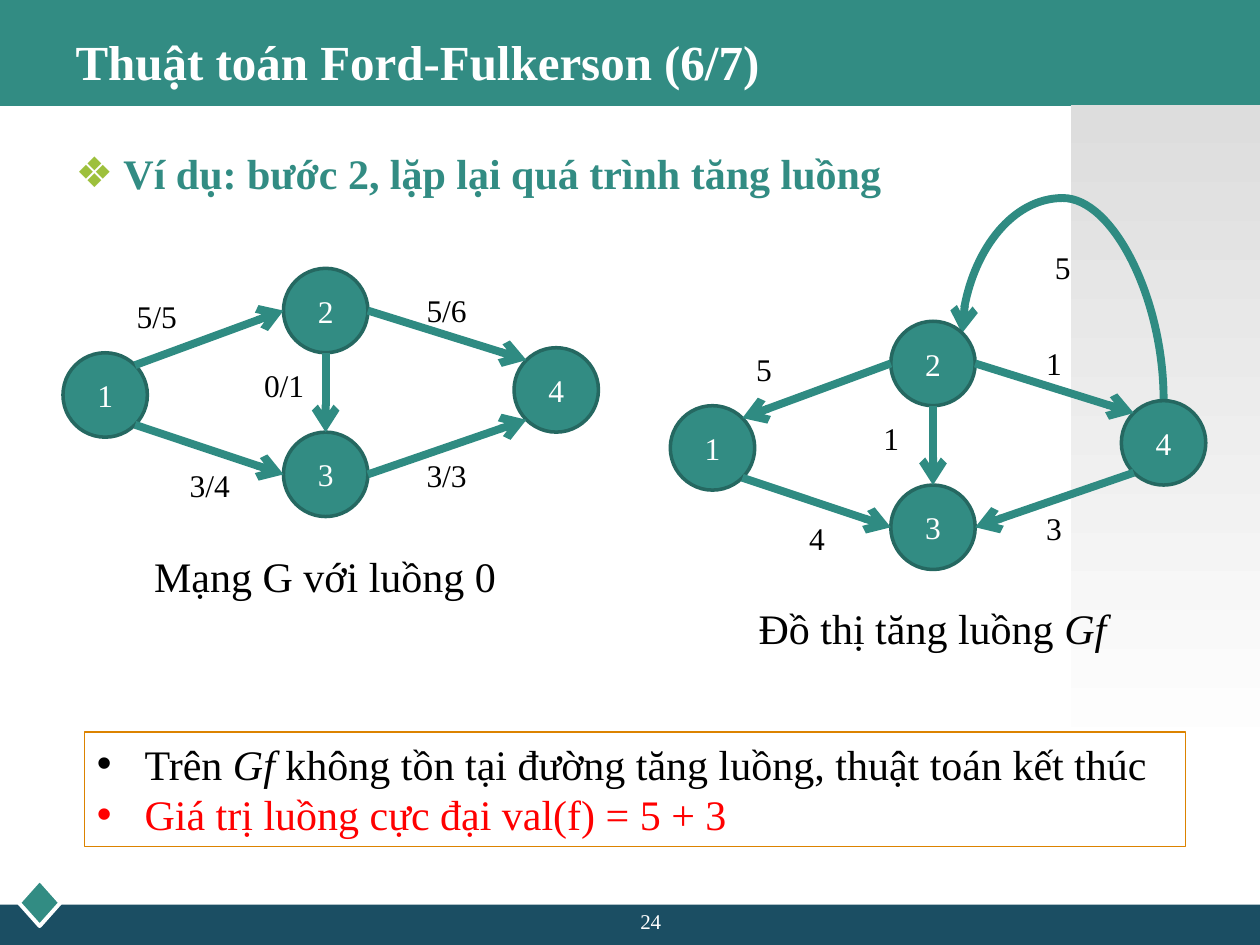
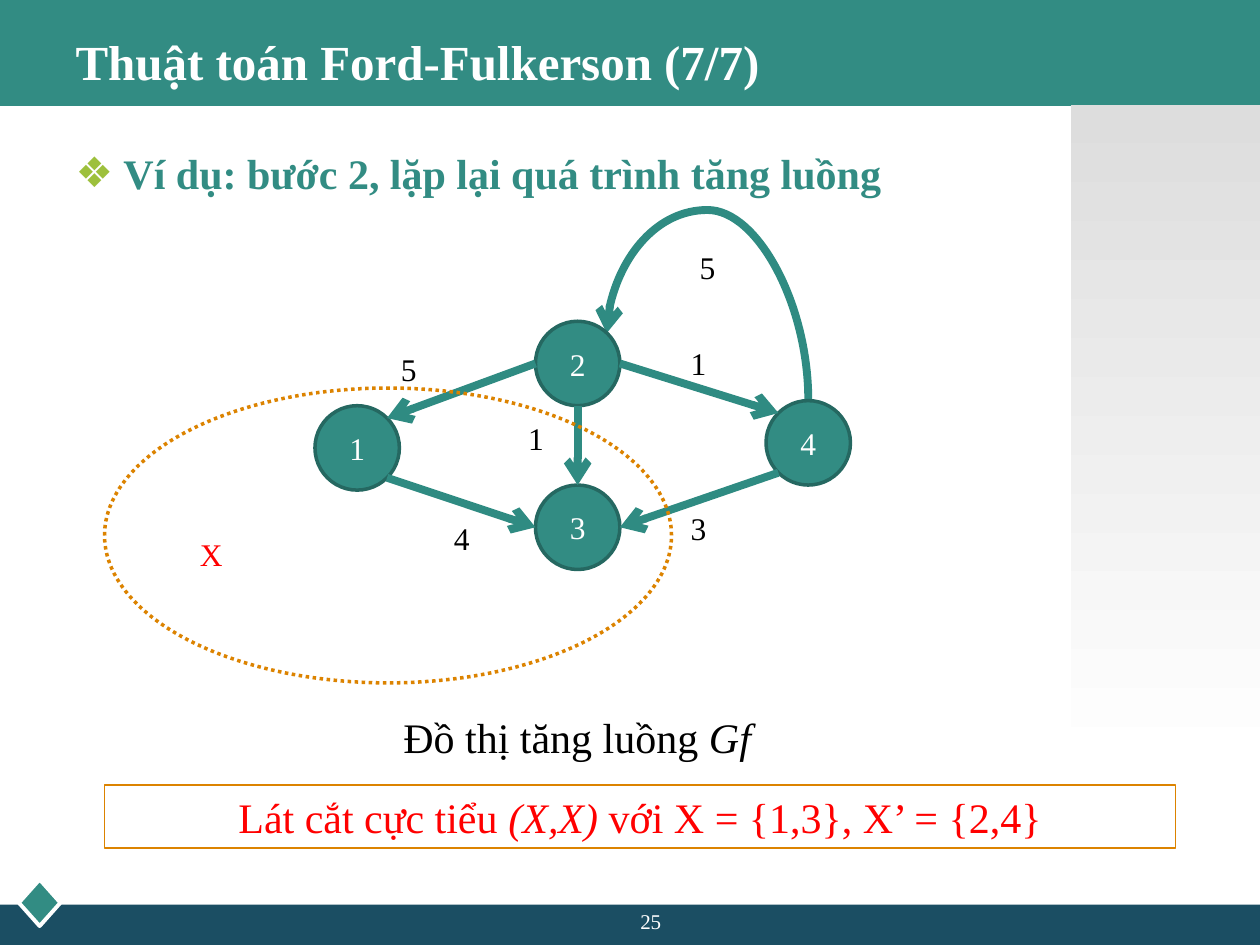
"""Build two slides that end the Ford-Fulkerson flow example."""
from dataclasses import dataclass
from math import cos, radians, sin
from typing import NamedTuple, Optional

from lxml.etree import SubElement as Sub
from pptx import Presentation
from pptx.dml.color import RGBColor as RGB
from pptx.enum.dml import MSO_LINE as Dash
from pptx.enum.shapes import MSO_CONNECTOR as Link, MSO_SHAPE as Form
from pptx.enum.text import MSO_ANCHOR as Anchor, PP_ALIGN as Align
from pptx.oxml.ns import qn
from pptx.util import Inches, Pt

TEAL = RGB(0x32, 0x8C, 0x83)
RIM = RGB(0x25, 0x68, 0x61)
ARROW = RGB(0x2F, 0x8B, 0x82)
NAVY = RGB(0x1B, 0x4E, 0x63)
GOLD = RGB(0xDC, 0x83, 0x00)
LIME = RGB(0x9D, 0xC0, 0x3C)
GRAY = RGB(0xDD, 0xDD, 0xDD)
WHITE = RGB(0xFF, 0xFF, 0xFF)
BLACK = RGB(0, 0, 0)
RED = RGB(0xFF, 0, 0)
FONT = "Times New Roman"
SIZE = 0.67


class Box(NamedTuple):
    x: float
    y: float
    w: float
    h: float


class Run(NamedTuple):
    text: str
    size: float = 24
    color: RGB = BLACK
    bold: bool = False
    slant: bool = False


class Spot(NamedTuple):
    x: float
    y: float


class Edge(NamedTuple):
    tail: str
    out: int
    head: str
    into: int
    tag: Spot


@dataclass(frozen=True)
class Graph:
    x: float
    y: float
    tags: tuple[str, ...]
    title: tuple[Run, ...]
    drop: float
    turned: tuple[int, ...] = ()
    bend: Optional[int] = None


NODES = {
    "1": Spot(0, 0.67),
    "2": Spot(1.75, 0),
    "3": Spot(1.75, 1.3),
    "4": Spot(3.58, 0.63),
}
EDGES = (
    Edge("1", -45, "2", 180, Spot(0.33, 0.18)),
    Edge("2", 0, "4", 225, Spot(2.63, 0.13)),
    Edge("1", 45, "3", 180, Spot(0.75, 1.52)),
    Edge("2", 90, "3", 270, Spot(1.34, 0.73)),
    Edge("3", 0, "4", 135, Spot(2.63, 1.44)),
)
LOOP = Box(2.85, -0.44, 0.53, 1.6)
LOOP_TAG = Spot(2.7, -0.63)
REST_TAGS = ("5", "1", "4", "1", "3")
REST_NAME = (Run("Đồ thị tăng luồng "), Run("Gf", slant=True))

FLOW = Graph(0.5, 2.13, ("5/5", "5/6", "3/4", "0/1", "3/3"),
             (Run("Mạng G với luồng 0"),), 2.19)
REST = Graph(5.32, 2.55, REST_TAGS, REST_NAME, 2.18, (0, 4), 302400)
CUT = Graph(2.5, 2.55, REST_TAGS, REST_NAME, 3.05, (0, 4), 284500)


def place(shape, box: Box) -> None:
    shape.left, shape.top, shape.width, shape.height = map(Inches, box)


def write(para, runs: tuple[Run, ...], align=Align.LEFT) -> None:
    para.alignment = align
    for item in runs:
        run = para.add_run()
        run.text = item.text
        font = run.font
        font.name, font.size = FONT, Pt(item.size)
        font.bold, font.italic = item.bold, item.slant
        font.color.rgb = item.color


def mark(para, sign: str, color: Optional[RGB] = None) -> None:
    props = para._p.get_or_add_pPr()
    props.set("marL", str(Inches(0.38)))
    props.set("indent", str(-Inches(0.38)))
    if color is not None:
        Sub(Sub(props, qn("a:buClr")), qn("a:srgbClr")).set("val", str(color))
    Sub(props, qn("a:buFont")).set("typeface", "Arial")
    Sub(props, qn("a:buChar")).set("char", sign)


def draw(slide, form: Form, box: Box, fill: Optional[RGB] = None,
         line: Optional[RGB] = None, width: float = 0.75):
    shape = slide.shapes.add_shape(form, *map(Inches, box))
    shape.shadow.inherit = False
    if fill is None:
        shape.fill.background()
    else:
        shape.fill.solid()
        shape.fill.fore_color.rgb = fill
    if line is None:
        shape.line.fill.background()
    else:
        shape.line.color.rgb = line
        shape.line.width = Pt(width)
    return shape


def label(slide, box: Box, runs: tuple[Run, ...]) -> None:
    shape = slide.shapes.add_textbox(*map(Inches, box))
    shape.text_frame.word_wrap = True
    write(shape.text_frame.paragraphs[0], runs, Align.CENTER)


def link(slide, kind: Link, start: Spot, end: Spot):
    line = slide.shapes.add_connector(kind, *map(Inches, (*start, *end)))
    line.line.color.rgb = ARROW
    line.line.width = Pt(4.5)
    props = line._element.spPr
    Sub(props.get_or_add_ln(), qn("a:tailEnd")).set("type", "arrow")
    Sub(props, qn("a:effectLst"))
    return line


def rim(graph: Graph, name: str, angle: int) -> Spot:
    node, half, turn = NODES[name], SIZE / 2, radians(angle)
    return Spot(graph.x + node.x + half * (1 + cos(turn)),
                graph.y + node.y + half * (1 + sin(turn)))


def tag(slide, graph: Graph, spot: Spot, text: str) -> None:
    box = Box(graph.x + spot.x, graph.y + spot.y, 0.83, 0.4)
    label(slide, box, (Run(text, 18),))


def loop(slide, graph: Graph) -> None:
    x, y = graph.x + LOOP.x, graph.y + LOOP.y
    line = link(slide, Link.CURVE, Spot(x, y), Spot(x + LOOP.w, y + LOOP.h))
    props = line._element.spPr
    frame = props.find(qn("a:xfrm"))
    frame.set("rot", str(270 * 60000))
    frame.set("flipV", "1")
    guide = Sub(props.find(qn("a:prstGeom")).find(qn("a:avLst")), qn("a:gd"))
    guide.set("name", "adj1")
    guide.set("fmla", f"val {graph.bend}")
    tag(slide, graph, LOOP_TAG, "5")


def plot(slide, graph: Graph) -> None:
    if graph.bend is not None:
        loop(slide, graph)
    for name, spot in NODES.items():
        box = Box(graph.x + spot.x, graph.y + spot.y, SIZE, SIZE)
        node = draw(slide, Form.OVAL, box, TEAL, RIM, 2)
        node.text_frame.vertical_anchor = Anchor.MIDDLE
        write(node.text_frame.paragraphs[0], (Run(name, 18, WHITE),), Align.CENTER)
    for i, (edge, text) in enumerate(zip(EDGES, graph.tags)):
        ends = [rim(graph, edge.tail, edge.out), rim(graph, edge.head, edge.into)]
        if i in graph.turned:
            ends.reverse()
        link(slide, Link.STRAIGHT, *ends)
        tag(slide, graph, edge.tag, text)
    label(slide, Box(graph.x + 0.57, graph.y + graph.drop, 3.02, 0.5), graph.title)


def note(slide, box: Box, lines: tuple[tuple[Run, ...], ...],
         sign: str = "", align=Align.LEFT) -> None:
    frame = draw(slide, Form.RECTANGLE, box, line=GOLD).text_frame
    frame.vertical_anchor = Anchor.TOP
    for i, runs in enumerate(lines):
        para = frame.add_paragraph() if i else frame.paragraphs[0]
        write(para, runs, align)
        if sign:
            mark(para, sign)


def dress(slide) -> None:
    draw(slide, Form.RECTANGLE, Box(0, 0, 10, 0.84), TEAL)
    draw(slide, Form.RECTANGLE, Box(0, 7.18, 10, 0.33), NAVY)
    draw(slide, Form.DIAMOND, Box(0.15, 6.98, 0.33, 0.37), TEAL, WHITE, 2.25)
    fade = draw(slide, Form.RECTANGLE, Box(8.5, 0.83, 1.5, 5.25), GRAY).fill
    fade.gradient()
    fade.gradient_angle = 270
    for stop, color in zip(fade.gradient_stops, (GRAY, WHITE)):
        stop.color.rgb = color


def share(deck, layout) -> None:
    for shape in list(layout.placeholders):
        if shape.placeholder_format.idx > 1:
            shape.element.getparent().remove(shape.element)
    slide = deck.slides[0]
    held = {shape.shape_id for shape in slide.placeholders}
    dress(slide)
    for shape in list(slide.shapes):
        if shape.shape_id not in held:
            layout.shapes.element.append(shape.element)


def begin(deck, layout, page: int, part: str):
    slide = deck.slides.add_slide(layout)
    if len(deck.slides) == 1:
        share(deck, layout)
    title, body = slide.shapes.title, slide.placeholders[1]
    place(title, Box(0.5, 0.17, 9, 0.62))
    title.text_frame.vertical_anchor = Anchor.MIDDLE
    write(title.text_frame.paragraphs[0],
          (Run(f"Thuật toán Ford-Fulkerson ({part})", 28, WHITE, True),))
    place(body, Box(0.5, 0.92, 9, 6))
    para = body.text_frame.paragraphs[0]
    para.line_spacing = 1.5
    para.space_before = Pt(4.8)
    write(para, (Run("Ví dụ: bước 2, lặp lại quá trình tăng luồng",
                     color=TEAL, bold=True),))
    mark(para, "❖", LIME)
    label(slide, Box(4, 7.16, 2.33, 0.26), (Run(str(page), 12, WHITE),))
    return slide


def main() -> None:
    deck = Presentation()
    deck.slide_width, deck.slide_height = Inches(10), Inches(7.5)
    layout = deck.slide_layouts[1]

    slide = begin(deck, layout, 24, "6/7")
    plot(slide, FLOW)
    plot(slide, REST)
    note(slide, Box(0.67, 5.81, 8.74, 0.91), (
        (Run("Trên "), Run("Gf", slant=True),
         Run(" không tồn tại đường tăng luồng, thuật toán kết thúc")),
        (Run("Giá trị luồng cực đại val(f) = 5 + 3", color=RED),),
    ), "•")

    slide = begin(deck, layout, 25, "7/7")
    plot(slide, CUT)
    ring = draw(slide, Form.OVAL, Box(0.83, 3.08, 4.5, 2.34), line=GOLD, width=2)
    ring.line.dash_style = Dash.ROUND_DOT
    frame = ring.text_frame
    frame.vertical_anchor = Anchor.MIDDLE
    frame.margin_top = Inches(0.34)
    write(frame.paragraphs[0], (Run("X", 18, RED),))
    note(slide, Box(0.83, 6.23, 8.5, 0.5), (
        (Run("Lát cắt cực tiểu ", color=RED), Run("(X,X)", color=RED, slant=True),
         Run(" với X = {1,3}, X’ = {2,4}", color=RED)),
    ), align=Align.CENTER)
    deck.save("out.pptx")


if __name__ == "__main__":
    main()
